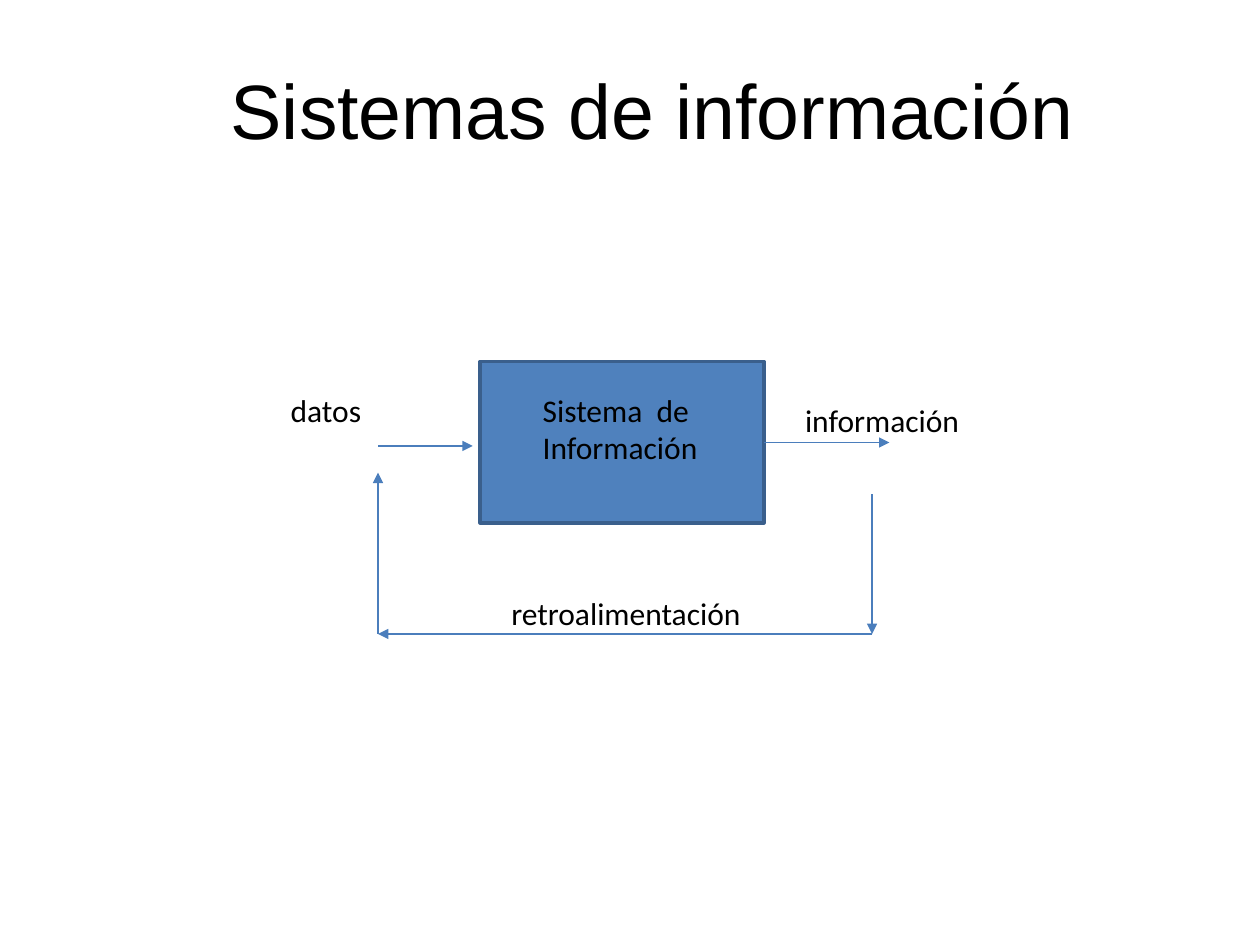
from lxml.etree import SubElement
from pptx import Presentation
from pptx.dml.color import RGBColor
from pptx.enum.shapes import MSO_CONNECTOR as Connector, MSO_SHAPE as Shape
from pptx.enum.text import MSO_ANCHOR as Anchor, MSO_AUTO_SIZE as AutoSize, PP_ALIGN as Align
from pptx.oxml.ns import qn
from pptx.util import Cm, Pt

BLACK = RGBColor(0x00, 0x00, 0x00)
BLUE = RGBColor(0x4F, 0x81, 0xBD)
DARK_BLUE = RGBColor(0x3A, 0x5F, 0x8C)
ARROW_BLUE = RGBColor(0x4B, 0x7E, 0xBC)

LOOP_LEFT, LOOP_RIGHT, LOOP_BOTTOM = 7.62, 17.58, 12.78
BOX_LEFT, BOX_TOP, BOX_WIDTH, BOX_HEIGHT = 9.68, 7.29, 5.72, 3.25
BOX_RIGHT = BOX_LEFT + BOX_WIDTH

ARROWS = [
    (LOOP_RIGHT, 9.96, LOOP_RIGHT, LOOP_BOTTOM),
    (LOOP_RIGHT, LOOP_BOTTOM, LOOP_LEFT, LOOP_BOTTOM),
    (LOOP_LEFT, LOOP_BOTTOM, LOOP_LEFT, 9.53),
    (LOOP_LEFT, 8.99, 9.53, 8.99),
    (BOX_RIGHT, 8.92, 17.93, 8.92),
]
LABELS = [
    ("datos", 5.61, 7.75, 2.54, 1.02),
    ("información", 15.98, 7.95, 4.75, 1.02),
    ("retroalimentación", 10.06, 11.86, 5.72, 1.02),
    ("Sistema  de Información", 10.69, 7.75, 4.14, 1.8),
]


def apply(target, values):
    for name, value in values.items():
        setattr(target, name, value)


class Diagram:
    """Draws the elements of a system diagram on one slide in a shared style."""

    title_font = {"name": "Arial", "size": Pt(44)}
    label_font = {"name": "Calibri", "size": Pt(18)}

    def __init__(self, slide):
        self.slide = slide
        self.shapes = slide.shapes

    def set_text(self, shape, text, font, frame_format):
        frame = shape.text_frame
        frame.text = text
        apply(frame, {"word_wrap": True, "vertical_anchor": Anchor.TOP, **frame_format})
        paragraph = frame.paragraphs[0]
        paragraph.alignment = Align.LEFT
        run_font = paragraph.runs[0].font
        apply(run_font, font)
        run_font.color.rgb = BLACK

    def title(self, text, left, top, width, height):
        shape = self.shapes.title
        apply(shape, {"left": Cm(left), "top": Cm(top),
                      "width": Cm(width), "height": Cm(height)})
        margins = {f"margin_{side}": 0 for side in ("left", "top", "right", "bottom")}
        self.set_text(shape, text, self.title_font, {"auto_size": AutoSize.NONE, **margins})

    def label(self, text, left, top, width, height):
        shape = self.shapes.add_textbox(Cm(left), Cm(top), Cm(width), Cm(height))
        self.set_text(shape, text, self.label_font, {"auto_size": AutoSize.SHAPE_TO_FIT_TEXT})

    def box(self, left, top, width, height):
        shape = self.shapes.add_shape(
            Shape.RECTANGLE, Cm(left), Cm(top), Cm(width), Cm(height))
        shape.shadow.inherit = False
        shape.fill.solid()
        shape.fill.fore_color.rgb = BLUE
        shape.line.color.rgb = DARK_BLUE
        shape.line.width = Pt(2)

    def arrow(self, start_x, start_y, end_x, end_y):
        connector = self.shapes.add_connector(
            Connector.STRAIGHT, Cm(start_x), Cm(start_y), Cm(end_x), Cm(end_y))
        connector.line.color.rgb = ARROW_BLUE
        connector.line.width = Pt(0.75)
        properties = connector._element.spPr
        SubElement(properties.find(qn("a:ln")), qn("a:tailEnd"), type="triangle")
        SubElement(properties, qn("a:effectLst"))


def main():
    presentation = Presentation()
    apply(presentation, {"slide_width": Cm(25.4), "slide_height": Cm(19.05)})
    diagram = Diagram(presentation.slides.add_slide(presentation.slide_layouts[5]))
    diagram.title("Sistemas de información", 4.65, 1.27, 17.78, 3.76)
    diagram.box(BOX_LEFT, BOX_TOP, BOX_WIDTH, BOX_HEIGHT)
    for arrow in ARROWS:
        diagram.arrow(*arrow)
    for label in LABELS:
        diagram.label(*label)
    presentation.save("out.pptx")


if __name__ == "__main__":
    main()
